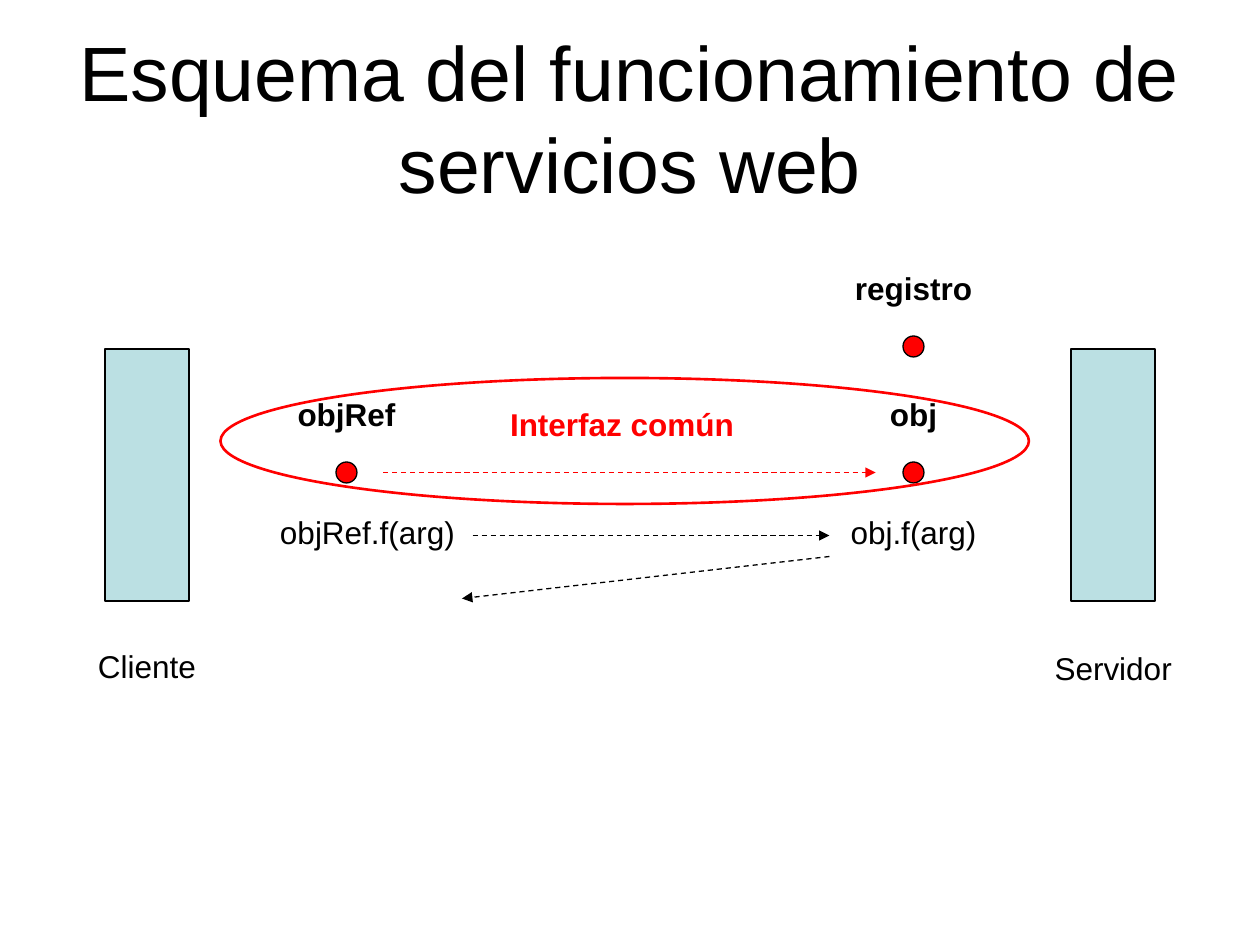
import pptx
import pptx.dml.color
import pptx.enum.dml
import pptx.enum.shapes
import pptx.enum.text
import pptx.oxml.ns
import pptx.util
from lxml import etree

CELL = 1 / 12
LABEL_ROWS = 4.8
BLACK, RED, PALE_TEAL = "000000", "FF0000", "BBE0E3"
SHAPES = pptx.enum.shapes.MSO_SHAPE
ALIGN = pptx.enum.text.PP_ALIGN


def grid(*cells):
    """Turn counts of twelfth-inch cells into lengths."""
    return [pptx.util.Inches(count * CELL) for count in cells]


def color(hex_code):
    """Turn a hex string into a colour."""
    return pptx.dml.color.RGBColor.from_string(hex_code)


def add_text(slide, text, area, size=18, ink=BLACK, bold=False, align=ALIGN.CENTER, side=0.1):
    """Write one paragraph, centred vertically, in an area of the grid."""
    frame = slide.shapes.add_textbox(*grid(*area)).text_frame
    frame.word_wrap = True
    frame.vertical_anchor = pptx.enum.text.MSO_ANCHOR.MIDDLE
    frame.margin_left = frame.margin_right = pptx.util.Inches(side)
    frame.text = text
    paragraph = frame.paragraphs[0]
    paragraph.alignment = align
    font = paragraph.runs[0].font
    font.name, font.size, font.bold = "Arial", pptx.util.Pt(size), bold
    font.color.rgb = color(ink)


def add_figure(slide, kind, area, fill=None, edge=BLACK, weight=0.75):
    """Draw an outlined preset shape, hollow when no fill is given."""
    figure = slide.shapes.add_shape(kind, *grid(*area))
    figure.shadow.inherit = False
    if fill:
        figure.fill.solid()
        figure.fill.fore_color.rgb = color(fill)
    else:
        figure.fill.background()
    figure.line.color.rgb = color(edge)
    figure.line.width = pptx.util.Pt(weight)


def add_call(slide, start, end, ink=BLACK):
    """Draw a dashed arrow between two points of the grid."""
    call = slide.shapes.add_connector(
        pptx.enum.shapes.MSO_CONNECTOR.STRAIGHT, *grid(*start, *end))
    call.line.color.rgb = color(ink)
    call.line.width = pptx.util.Pt(0.75)
    call.line.dash_style = pptx.enum.dml.MSO_LINE.DASH
    qn = pptx.oxml.ns.qn
    etree.SubElement(call.line._get_or_add_ln(), qn("a:tailEnd"), type="triangle")
    etree.SubElement(call._element.spPr, qn("a:effectLst"))


def main():
    """Build the web service diagram."""
    deck = pptx.Presentation()
    deck.slide_width, deck.slide_height = grid(120, 90)
    slide = deck.slides.add_slide(deck.slide_layouts[6])

    add_text(slide, "Esquema del funcionamiento de servicios web",
             (6, 3.6, 108, 15), size=44, side=0)

    for machine_left in (10, 102):
        add_figure(slide, SHAPES.RECTANGLE, (machine_left, 33.25, 8, 24), PALE_TEAL)
    add_text(slide, "Cliente", (7, 61, 14, LABEL_ROWS))
    add_text(slide, "Servidor", (99.25, 61.2, 14, LABEL_ROWS), align=ALIGN.LEFT)

    for name, left, top in (("registro", 79, 25), ("objRef", 25, 37), ("obj", 79, 37)):
        add_text(slide, name, (left, top, 16, LABEL_ROWS), bold=True)
        add_figure(slide, SHAPES.OVAL, (left + 7, top + 7, 2, 2), RED)

    for invocation, left, width in (("objRef.f(arg)", 25, 20), ("obj.f(arg)", 79, 16)):
        add_text(slide, invocation, (left, 48.25, width, LABEL_ROWS))

    add_call(slide, (36.5, 45), (83.4, 45), RED)
    add_call(slide, (45, 51), (79, 51))
    add_call(slide, (79, 53), (44, 57))

    add_figure(slide, SHAPES.OVAL, (21, 36, 77, 12), edge=RED, weight=1.5)
    add_text(slide, "Interfaz común", (47.25, 38, 24, LABEL_ROWS), ink=RED, bold=True)

    deck.save("out.pptx")


if __name__ == "__main__":
    main()
